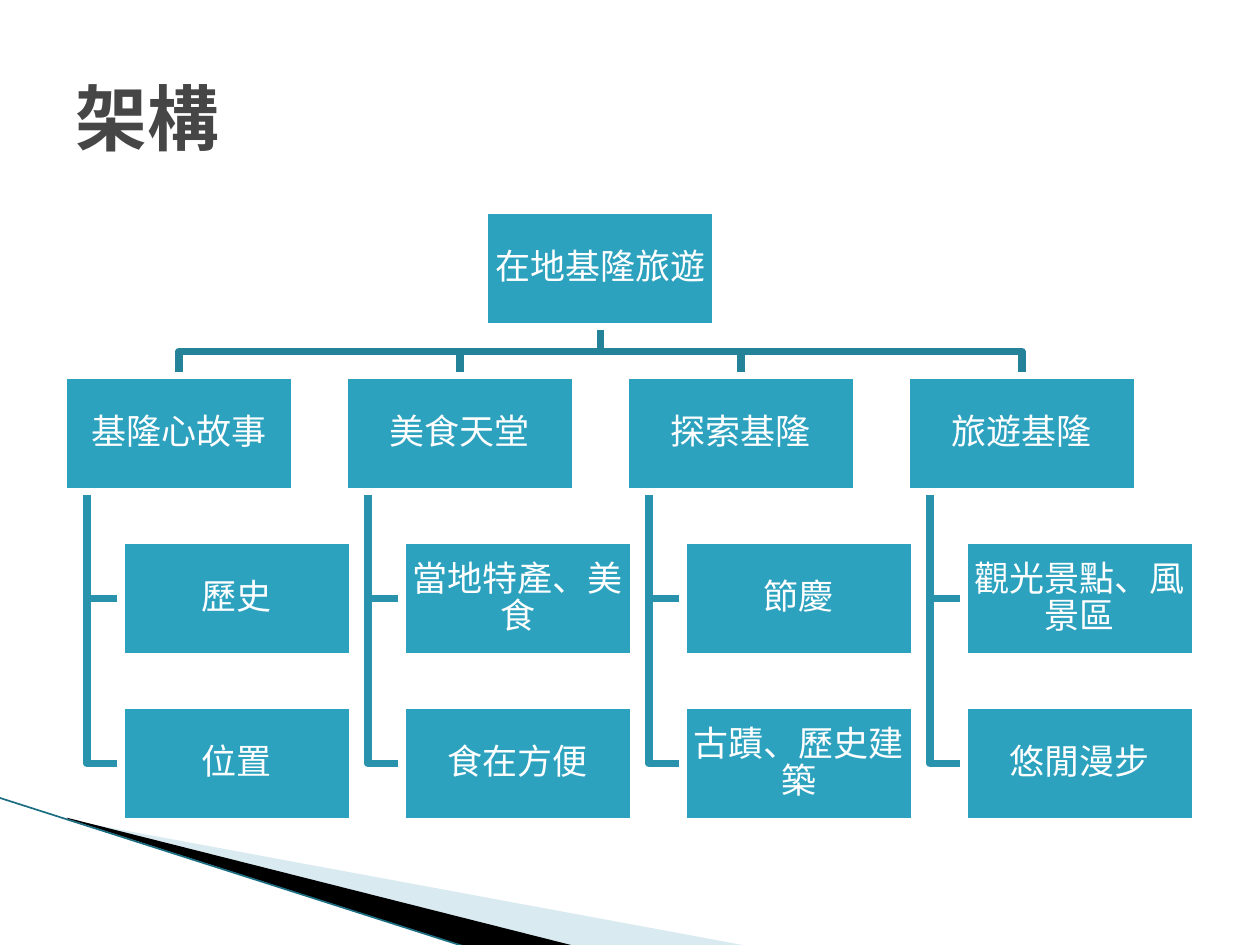
from dataclasses import dataclass

from pptx import Presentation
from pptx import util as u
from pptx.dml import color
from pptx.enum import shapes, text
from pptx.oxml import ns, xmlchemy

Inches, Pt = u.Inches, u.Pt
Point = tuple[float, float]


@dataclass(frozen=True)
class Theme:
    """Colours and type sizes of the slide."""
    font: str = "Courier New"
    white: str = "FFFFFF"
    box: str = "2DA2BF"
    trunk: str = "248299"
    twig: str = "2993AD"
    title: str = "464646"
    pale: str = "A0CBDC"
    dark: str = "000000"
    edge: str = "1B6D82"
    head: float = 41
    body: float = 20
    line: float = 4.33


@dataclass(frozen=True)
class Branch:
    """A topic and the items under it."""
    name: str
    items: tuple[str, ...]


THEME = Theme()
ROOT = "在地基隆旅遊"
TREE = (
    Branch("基隆心故事", ("歷史", "位置")),
    Branch("美食天堂", ("當地特產、美食", "食在方便")),
    Branch("探索基隆", ("節慶", "古蹟、歷史建築")),
    Branch("旅遊基隆", ("觀光景點、風景區", "悠閒漫步")),
)
WIDE, HIGH = 1.84, 0.92
LEFT, TOP = 0.5, 1.67
COL, ROW = 2.23, 1.31
INDENT, STEM = 0.46, 0.19


def rgb(code: str) -> color.RGBColor:
    """Turn a hex code into a colour."""
    return color.RGBColor.from_string(code)


def style(frame, size: float, code: str, bold: bool = False) -> None:
    """Format every run in a text frame."""
    frame.word_wrap = True
    frame.vertical_anchor = text.MSO_ANCHOR.MIDDLE
    for para in frame.paragraphs:
        for run in para.runs:
            run.font.name = THEME.font
            run.font.size = Pt(size)
            run.font.bold = bold
            run.font.color.rgb = rgb(code)


def trace(slide, points: list[Point], close: bool = False):
    """Draw an outline through the points."""
    spots = [(Inches(x), Inches(y)) for x, y in points]
    pen = slide.shapes.build_freeform(*spots[0])
    pen.add_line_segments(spots[1:], close=close)
    shape = pen.convert_to_shape()
    shape.shadow.inherit = False
    return shape


def wedge(slide, points: list[Point], code: str, alpha: int = 100) -> None:
    """Draw a filled corner wedge."""
    shape = trace(slide, points, close=True)
    shape.fill.solid()
    shape.fill.fore_color.rgb = rgb(code)
    shape.line.fill.background()
    if alpha < 100:
        tone = shape.fill._xPr.find(".//" + ns.qn("a:srgbClr"))
        mark = xmlchemy.OxmlElement("a:alpha")
        mark.set("val", str(alpha * 1000))
        tone.append(mark)


def link(slide, points: list[Point], code: str) -> None:
    """Draw an elbow link of the tree."""
    shape = trace(slide, points)
    shape.fill.background()
    shape.line.color.rgb = rgb(code)
    shape.line.width = Pt(THEME.line)


def box(slide, x: float, y: float, label: str) -> None:
    """Draw one labelled box of the tree."""
    shape = slide.shapes.add_shape(
        shapes.MSO_SHAPE.RECTANGLE,
        Inches(x), Inches(y), Inches(WIDE), Inches(HIGH))
    shape.shadow.inherit = False
    shape.fill.solid()
    shape.fill.fore_color.rgb = rgb(THEME.box)
    shape.line.color.rgb = rgb(THEME.white)
    shape.line.width = Pt(THEME.line)
    frame = shape.text_frame
    frame.margin_left = frame.margin_right = Inches(0.01)
    frame.margin_top = frame.margin_bottom = Inches(0.01)
    frame.text = label
    para = frame.paragraphs[0]
    para.alignment = text.PP_ALIGN.CENTER
    para.line_spacing = 0.9
    para.space_after = Pt(7)
    style(frame, THEME.body, THEME.white)


def corner(slide) -> None:
    """Draw the wedges and edge at the lower left."""
    wedge(slide, [(0.55, 6.51), (5.95, 7.51), (4.56, 7.51), (0.55, 6.5)],
          THEME.pale, 40)
    wedge(slide, [(0.53, 6.49), (4.57, 7.51), (3.72, 7.52), (0.54, 6.5)],
          THEME.dark)
    edge = slide.shapes.add_connector(
        shapes.MSO_CONNECTOR.STRAIGHT,
        Inches(-0.01), Inches(6.33), Inches(3.71), Inches(7.52))
    edge.line.color.rgb = rgb(THEME.edge)
    edge.line.width = Pt(0.95)
    edge._element.spPr.append(xmlchemy.OxmlElement("a:effectLst"))


def tree(slide) -> None:
    """Draw all links, then all boxes over them."""
    mid = LEFT + 1.5 * COL + WIDE / 2
    base, row = TOP + HIGH, TOP + ROW
    bar = base + 0.2
    boxes = [(mid - WIDE / 2, TOP, ROOT)]
    for col, branch in enumerate(TREE):
        x = LEFT + col * COL
        axis = x + WIDE / 2
        link(slide, [(mid, base), (mid, bar), (axis, bar), (axis, row)],
             THEME.trunk)
        boxes.append((x, row, branch.name))
        for rank, item in enumerate(branch.items, 1):
            y = row + rank * ROW
            half = y + HIGH / 2
            link(slide, [(x + STEM, row + HIGH), (x + STEM, half),
                         (x + INDENT, half)], THEME.twig)
            boxes.append((x + INDENT, y, item))
    for x, y, label in boxes:
        box(slide, x, y, label)


def title(slide, label: str) -> None:
    """Write the slide title."""
    frame = slide.shapes.add_textbox(
        Inches(0.5), Inches(0.3), Inches(9), Inches(1.25)).text_frame
    frame.text = label
    style(frame, THEME.head, THEME.title, bold=True)


def main() -> None:
    """Build and save the slide."""
    deck = Presentation()
    deck.slide_width, deck.slide_height = Inches(10), Inches(7.5)
    slide = deck.slides.add_slide(deck.slide_layouts[6])
    corner(slide)
    tree(slide)
    title(slide, "架構")
    deck.save("out.pptx")


main()
